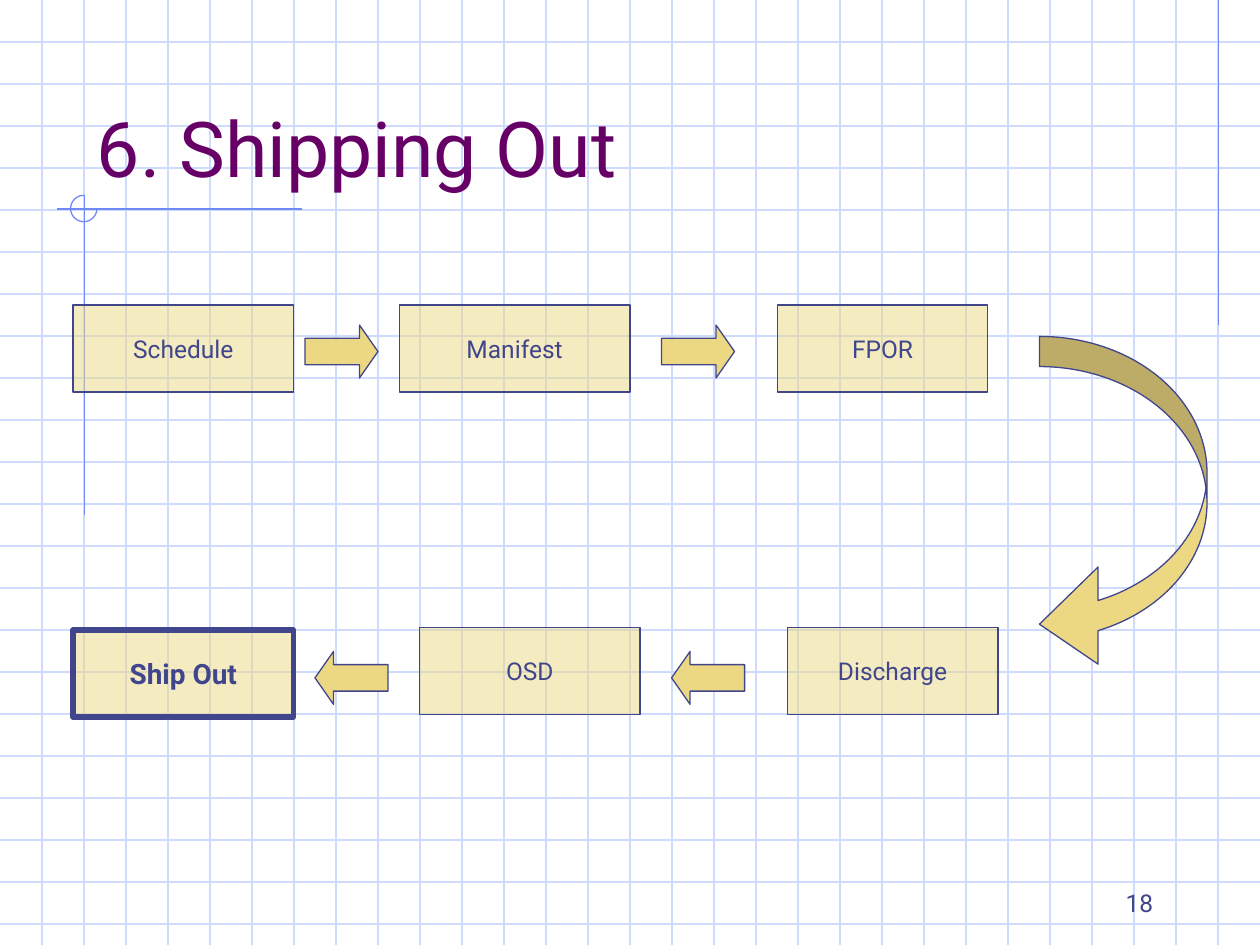
from pptx import Presentation, util as u
from pptx.dml.color import RGBColor
from pptx.enum import shapes, text
from pptx.oxml import parse_xml
from pptx.oxml.ns import nsdecls, qn

GRID = RGBColor(0xCF, 0xDB, 0xFD)
BLUE = RGBColor(0x6F, 0x89, 0xF7)
GOLD = RGBColor(0xEC, 0xD8, 0x82)
NAVY = RGBColor(0x40, 0x45, 0x8C)
PLUM = RGBColor(0x66, 0x00, 0x66)

FONT = "Roboto"
WIDE, HIGH, STEP = 10, 7.5, 1 / 3
KIND = shapes.MSO_SHAPE
SIDE = text.PP_ALIGN
EDGE = text.MSO_ANCHOR

TITLE = "6. Shipping Out"
PAGE = "18"
RULES = [
    (9.67, 0, 9.67, 2.58),
    (2.4, 1.66, 0.45, 1.66),
    (0.67, 1.55, 0.67, 4.09),
]
STEPS = [
    ("Schedule", 0.58, 2.42, 1.75),
    ("Manifest", 3.17, 2.42, 1.83),
    ("FPOR", 6.17, 2.42, 1.67),
    ("Discharge", 6.25, 4.98, 1.67),
    ("OSD", 3.33, 4.98, 1.75),
]
LAST = ("Ship Out", 0.58, 5, 1.75)
ARROWS = [
    (KIND.RIGHT_ARROW, 2.42, 2.58),
    (KIND.RIGHT_ARROW, 5.25, 2.58),
    (KIND.LEFT_ARROW, 5.33, 5.17),
    (KIND.LEFT_ARROW, 2.5, 5.17),
]

deck = Presentation()
deck.slide_width, deck.slide_height = u.Inches(WIDE), u.Inches(HIGH)
slide = deck.slides.add_slide(deck.slide_layouts[6])


def inch(*vals):
    return [u.Inches(v) for v in vals]


def rule(ends, color):
    line = slide.shapes.add_connector(shapes.MSO_CONNECTOR.STRAIGHT, *inch(*ends))
    line.line.color.rgb = color
    line.line.width = u.Pt(0.75)
    line._element.spPr.append(parse_xml(f"<a:effectLst {nsdecls('a')}/>"))


def shape(kind, at, fill=GOLD, line=NAVY, width=0.75, adj=()):
    item = slide.shapes.add_shape(kind, *inch(*at))
    item.shadow.inherit = False
    if fill is None:
        item.fill.background()
    else:
        item.fill.solid()
        item.fill.fore_color.rgb = fill
    item.line.color.rgb = line
    item.line.width = u.Pt(width)
    for i, val in enumerate(adj):
        item.adjustments[i] = val
    return item


def write(item, words, size, color, align, anchor, wrap=True, bold=False):
    frame = item.text_frame
    frame.text = words
    frame.word_wrap = wrap
    frame.vertical_anchor = anchor
    para = frame.paragraphs[0]
    para.alignment = align
    font = para.runs[0].font
    font.name, font.size, font.bold = FONT, u.Pt(size), bold
    font.color.rgb = color


def step(words, left, top, wide, width=0.75, size=14, bold=False):
    box = shape(KIND.FLOWCHART_PROCESS, (left, top, wide, 0.69), width=width)
    tint = box._element.spPr.find(qn("a:solidFill"))[0]
    tint.append(parse_xml(f'<a:alpha {nsdecls("a")} val="50000"/>'))
    write(box, words, size, NAVY, SIDE.CENTER, EDGE.MIDDLE, False, bold)


def label(words, at, size, color, align):
    box = slide.shapes.add_textbox(*inch(*at))
    write(box, words, size, color, align, EDGE.BOTTOM)


for i in range(1, 23):
    rule((0, i * STEP, WIDE, i * STEP), GRID)
for i in range(1, 30):
    rule((i * STEP, 0, i * STEP, HIGH), GRID)
for ends in RULES:
    rule(ends, BLUE)
shape(KIND.ARC, (0.56, 1.55, 0.21, 0.21), None, BLUE, adj=(0, 162))

label(TITLE, (0.67, 0.33, 8.5, 1.25), 44, PLUM, SIDE.LEFT)
for item in STEPS:
    step(*item)
step(*LAST, width=3, size=16, bold=True)
for kind, left, top in ARROWS:
    shape(kind, (left, top, 0.58, 0.42), adj=(0.5, 0.35))
shape(KIND.CURVED_LEFT_ARROW, (8.25, 2.67, 1.33, 2.67), adj=(0.18, 0.58, 0.35))
label(PAGE, (7.17, 6.83, 2.08, 0.5), 14, NAVY, SIDE.RIGHT)

deck.save("out.pptx")
